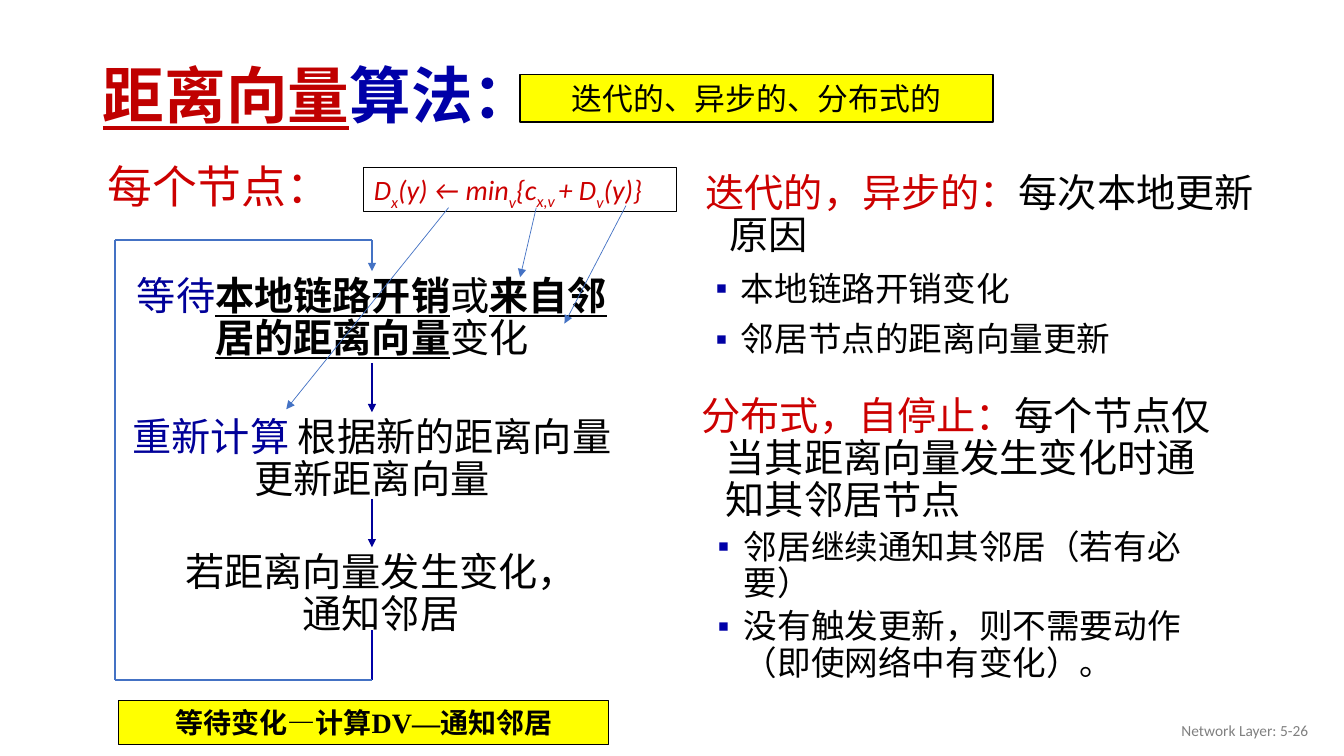
from lxml import etree
from pptx import Presentation
from pptx import util as u
from pptx.dml.color import RGBColor
from pptx.enum import shapes, text
from pptx.oxml.ns import qn

WIDTH, HEIGHT = u.Inches(13.33), u.Inches(7.5)
COLUMN, ROW = WIDTH / 40, HEIGHT / 30
COLOURS = {
    "title_red": "C00000", "red": "CC0000", "blue": "0000A8", "colon": "0000A3",
    "navy": "000099", "loop": "4472C4", "black": "000000", "grey": "808080",
    "yellow": "FFFF00",
}
LEFT, CENTRE, RIGHT = text.PP_ALIGN.LEFT, text.PP_ALIGN.CENTER, text.PP_ALIGN.RIGHT
TOP, MIDDLE = text.MSO_ANCHOR.TOP, text.MSO_ANCHOR.MIDDLE


def colour(name):
    """Return the named colour."""
    return RGBColor.from_string(COLOURS[name])


def spot(box, column, row):
    """Turn a grid point inside a box into slide lengths."""
    return round((box[0] + column) * COLUMN), round((box[1] + row) * ROW)


def area(box, column, row, columns, rows):
    """Turn a grid rectangle inside a box into slide lengths."""
    return *spot(box, column, row), round(columns * COLUMN), round(rows * ROW)


def place(shape, bounds):
    """Move a placeholder to the given bounds."""
    shape.left, shape.top, shape.width, shape.height = bounds


def set_frame(shape, anchor=TOP, wrap=True):
    """Fix a shape's text settings and return its frame."""
    frame = shape.text_frame
    frame.auto_size = text.MSO_AUTO_SIZE.NONE
    frame.word_wrap = wrap
    frame.vertical_anchor = anchor
    return frame


def write(para, spans, size, font="Calibri", align=LEFT, spacing=None):
    """Fill a paragraph with spans of text, colour, marks and baseline shift."""
    para.alignment = align
    if spacing:
        para.line_spacing = spacing
    for words, shade, marks, shift in spans:
        span = para.add_run()
        span.text = words
        span.font.size = u.Pt(size)
        span.font.name = font
        span.font.color.rgb = colour(shade)
        span.font.bold = "b" in marks
        span.font.italic = "i" in marks
        span.font.underline = "u" in marks
        if shift:
            span._r.get_or_add_rPr().set("baseline", str(shift * 1000))


def indent(para, margin, hanging, bullet=None):
    """Give a paragraph its hanging indent and optional square bullet."""
    props = para._p.get_or_add_pPr()
    props.set("marL", str(round(margin * COLUMN)))
    props.set("indent", str(-round(hanging * COLUMN)))
    if bullet is None:
        etree.SubElement(props, qn("a:buNone"))
        return
    tint = etree.SubElement(props, qn("a:buClr"))
    etree.SubElement(tint, qn("a:srgbClr"), val=COLOURS[bullet])
    etree.SubElement(props, qn("a:buFont"), typeface="Arial")
    etree.SubElement(props, qn("a:buChar"), char="▪")


def add_text(page, bounds, spans, size, anchor=TOP, wrap=True, **style):
    """Add a text box holding one paragraph."""
    box = page.shapes.add_textbox(*bounds)
    write(set_frame(box, anchor, wrap).paragraphs[0], spans, size, **style)
    return box


def add_frame(page, bounds, spans, size, fill=None, line=0.75, anchor=TOP, **style):
    """Add a black-edged rectangle holding one paragraph."""
    frame = page.shapes.add_shape(shapes.MSO_SHAPE.RECTANGLE, *bounds)
    frame.shadow.inherit = False
    if fill:
        frame.fill.solid()
        frame.fill.fore_color.rgb = colour(fill)
    else:
        frame.fill.background()
    frame.line.color.rgb = colour("black")
    frame.line.width = u.Pt(line)
    write(set_frame(frame, anchor).paragraphs[0], spans, size, **style)


def add_line(page, start, end, shade, width=1.5, arrow=False):
    """Add a straight line, with an arrowhead at its end if wanted."""
    line = page.shapes.add_connector(shapes.MSO_CONNECTOR.STRAIGHT, *start, *end)
    line.line.color.rgb = colour(shade)
    line.line.width = u.Pt(width)
    if arrow:
        etree.SubElement(line.line._get_or_add_ln(), qn("a:tailEnd"), type="triangle")
    etree.SubElement(line._element.spPr, qn("a:effectLst"))
    return line


def build_header(page, box):
    """Place the title and the yellow label beside it."""
    title = page.shapes.title
    place(title, area(box, 0, 0, *box[2:]))
    write(set_frame(title, MIDDLE).paragraphs[0], [
        ("距离向量", "title_red", "bu", 0),
        ("算法", "blue", "b", 0),
        ("：", "colon", "b", 0),
    ], 44, spacing=0.9)
    add_frame(page, area(box, 12.72, 1, 14.07, 1.88),
              [("迭代的、异步的、分布式的", "black", "", 0)], 22,
              fill="yellow", line=1, anchor=MIDDLE, align=CENTRE)


def build_flow(page, box):
    """Place the node loop with its formula, steps, arrows and summary."""
    axis, loop_left, loop_top, loop_bottom = 7.87, 0.22, 3.52, 21
    add_text(page, area(box, 0, 0.12, 6.66, 2.56),
             [("每个节点：", "red", "", 0)], 32, wrap=False, align=CENTRE)
    formula = [("D", 0), ("x", -30), ("(y) ← min", 0), ("v", -30), ("{c", 0),
               ("x,v ", -25), ("+ D", 0), ("v", -30), ("(y)}", 0)]
    add_frame(page, area(box, 7.63, 0.64, 9.3, 1.76),
              [(words, "red", "i", shift) for words, shift in formula], 20)

    steps = [
        ((0.31, 4.76, 15.12, 3.64), [
            ("等待", "navy", "", 0), ("本地链路开销", "black", "bu", 0),
            ("或", "black", "", 0), ("来自邻居的距离向量", "black", "bu", 0),
            ("变化", "black", "", 0)]),
        ((0.31, 10.36, 15.12, 3.44), [
            ("重新计算 ", "navy", "", 0),
            ("根据新的距离向量更新距离向量", "black", "", 0)]),
        ((1.78, 15.72, 12.72, 3.28), [
            ("若距离向量发生变化，通知邻居", "black", "", 0)]),
    ]
    wait, update, _ = [
        add_text(page, area(box, *cells), spans, 28, font="Arial",
                 align=CENTRE, spacing=0.9)
        for cells, spans in steps]

    lines = [
        ((axis, 8.4), (axis, 10.36), "navy", True, wait, update),
        ((axis, 13.8), (axis, 15.72), "navy", True, update, None),
        ((axis, loop_bottom), (axis, 19), "blue", False, None, None),
        ((loop_left, loop_bottom), (axis, loop_bottom), "loop", False, None, None),
        ((loop_left, loop_top), (loop_left, loop_bottom), "loop", False, None, None),
        ((loop_left, loop_top), (axis, loop_top), "loop", False, None, None),
        ((axis, loop_top), (axis, 4.76), "loop", True, None, wait),
    ]
    for start, end, shade, arrow, source, target in lines:
        line = add_line(page, spot(box, *start), spot(box, *end), shade, arrow=arrow)
        if source:
            line.begin_connect(source, 2)
        if target:
            line.end_connect(target, 0)

    pointers = [((12.76, 2.24), (12.28, 5)), ((15.43, 2.16), (13.6, 6.84)),
                ((10.15, 2.24), (5.32, 10.24))]
    for start, end in pointers:
        add_line(page, spot(box, *start), spot(box, *end), "loop", 0.5, True)

    add_frame(page, area(box, 0.34, 21.8, 14.58, 1.76),
              [("等待变化—计算DV—通知邻居", "black", "b", 0)], 20,
              fill="yellow", font="Times New Roman", align=CENTRE)


def build_notes(holder, box, lead, rest, points, level, gap, margin, hanging, bullet):
    """Place a coloured lead sentence and its bulleted points."""
    place(holder, area(box, 0, 0, *box[2:]))
    frame = set_frame(holder)
    para = frame.paragraphs[0]
    indent(para, 1.17, 0.72)
    para.space_before = u.Pt(0)
    write(para, [(lead, "red", "", 0), (rest, "black", "", 0)], 28, spacing=0.9)
    for point in points:
        para = frame.add_paragraph()
        para.level = level
        indent(para, margin, hanging, bullet)
        para.space_before = u.Pt(gap)
        write(para, [(point, "black", "", 0)], 24, spacing=0.9)


def build_footer(page, box):
    """Place the page label."""
    add_text(page, area(box, 0, 0, *box[2:]),
             [("Network Layer: 5-26", "grey", "", 0)], 11, MIDDLE, align=RIGHT)


def main():
    """Build and save the deck."""
    deck = Presentation()
    deck.slide_width, deck.slide_height = WIDTH, HEIGHT
    page = deck.slides.add_slide(deck.slide_layouts[3])
    build_header(page, (2.76, 1.96, 34.5, 3.92))
    build_notes(page.placeholders[1], (20.25, 6.68, 17.73, 8.64),
                "迭代的，异步的：", "每次本地更新原因",
                ["本地链路开销变化", "邻居节点的距离向量更新"],
                0, 10, 1.5, 0.75, "colon")
    build_notes(page.placeholders[2], (20.13, 15.52, 16.2, 12.76),
                "分布式，自停止：", "每个节点仅当其距离向量发生变化时通知其邻居节点",
                ["邻居继续通知其邻居（若有必要）",
                 "没有触发更新，则不需要动作（即使网络中有变化）。"],
                1, 5, 1.71, 0.78, "blue")
    build_flow(page, (3.2, 6, 16.95, 23.56))
    build_footer(page, (30.24, 28.2, 9, 1.6))
    deck.save("out.pptx")


if __name__ == "__main__":
    main()
